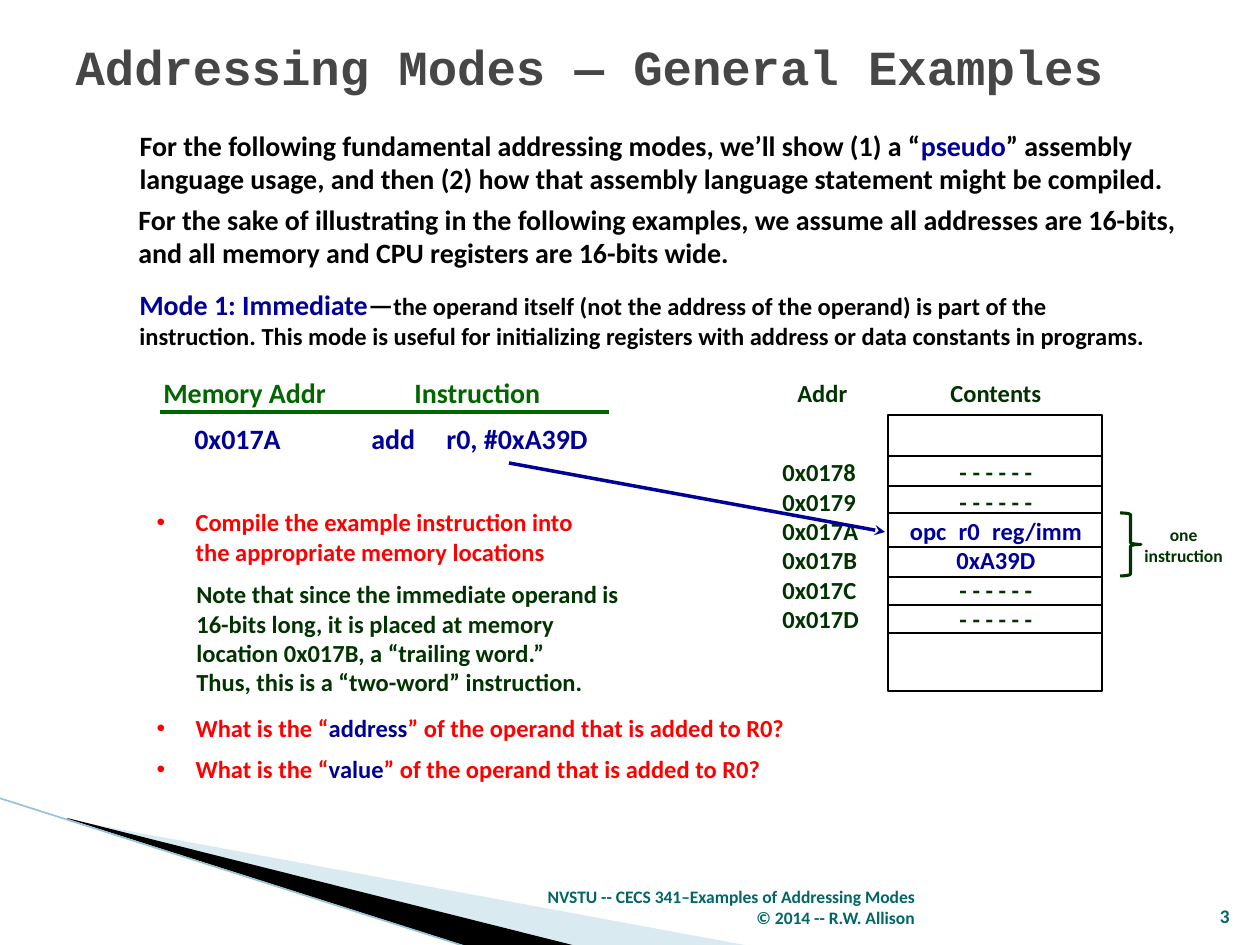
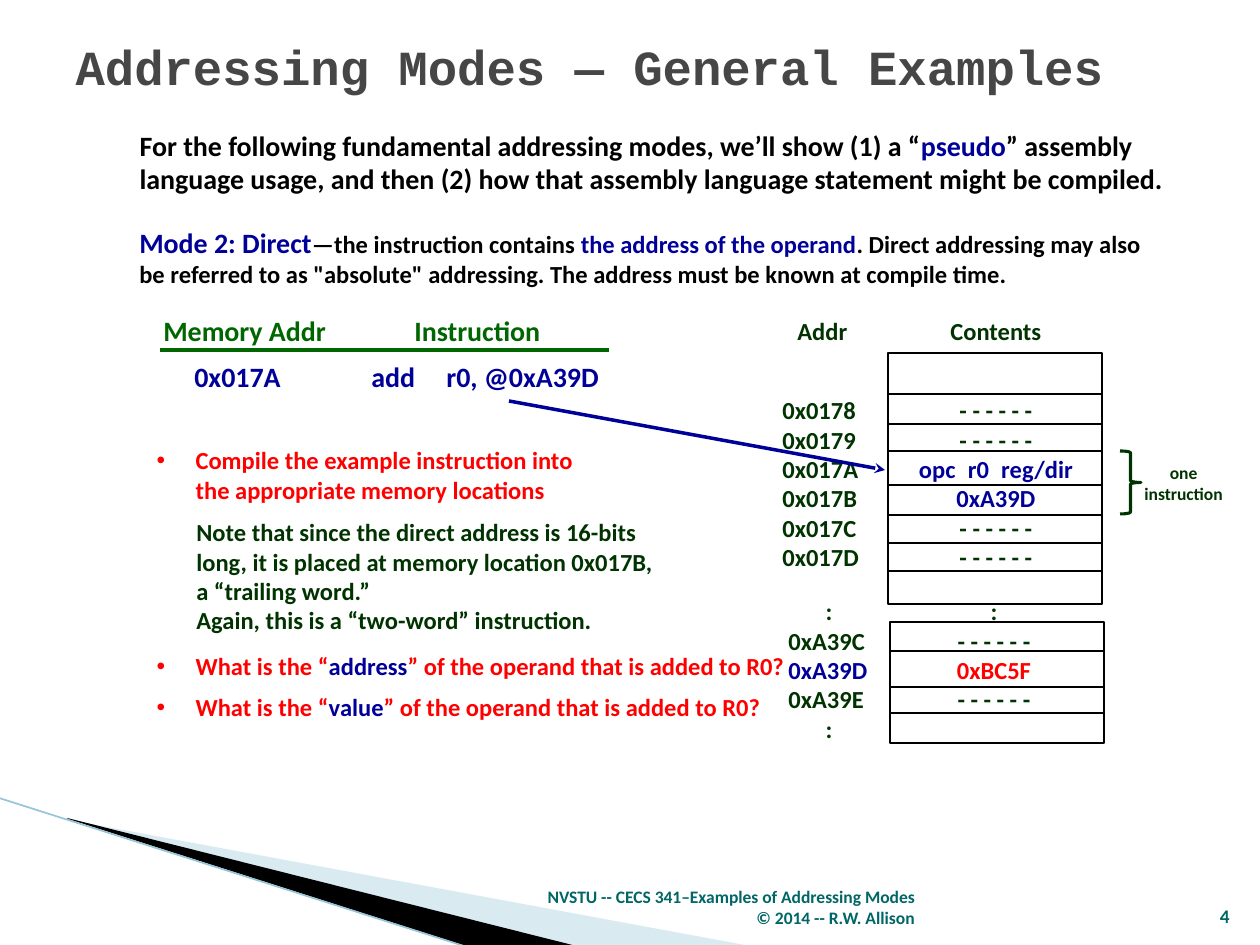
from lxml import etree
from pptx import Presentation
from pptx.dml.color import RGBColor
from pptx.enum.shapes import MSO_CONNECTOR as Link, MSO_SHAPE as Preset
from pptx.enum.text import MSO_ANCHOR as Anchor, MSO_AUTO_SIZE as Fit, PP_ALIGN as Align
from pptx.oxml.ns import qn
from pptx.util import Pt

PIXEL = 914400 / 126
BLACK = RGBColor(0x00, 0x00, 0x00)
NAVY = RGBColor(0x00, 0x00, 0x99)
GREEN = RGBColor(0x00, 0x66, 0x00)
FOREST = RGBColor(0x00, 0x33, 0x00)
RED = RGBColor(0xFF, 0x00, 0x00)
TEAL = RGBColor(0x00, 0x66, 0x66)
GRAY = RGBColor(0x46, 0x46, 0x46)
PALE = RGBColor(0xA0, 0xCB, 0xDC)
SKY = RGBColor(0x97, 0xC5, 0xD8)
DASHES = [("- - - - - -", FOREST)]
COLON = [(":", FOREST)]
EN_SPACE = "\u2002"


def px(length):
    return round(length * PIXEL)


def add_xml(parent, tag, **attributes):
    return etree.SubElement(parent, qn(tag), attributes)


class Lesson:
    """Holds the deck, its style and the current page."""

    def __init__(self):
        self.deck = Presentation()
        self.deck.slide_width, self.deck.slide_height = px(1260), px(945)
        self.layout = self.deck.slide_layouts.get_by_name("Comparison")
        self.page = None

    def start(self, title, number):
        first = self.page is None
        self.page = self.deck.slides.add_slide(self.layout)
        if first:
            self.backdrop()
        self.text((63, 24, 1155, 84), [[(title, GRAY)]], 28, slot=0,
                  font="Courier New", anchor=Anchor.MIDDLE)
        self.text((524, 883, 403, 51),
                  [[("NVSTU -- CECS 341–Examples of Addressing Modes", TEAL)],
                   [("© 2014 -- R.W. Allison", TEAL)]],
                  10, align=Align.RIGHT, anchor=Anchor.BOTTOM)
        self.text((1192, 883, 50, 51), [[(number, TEAL)]], 11,
                  align=Align.RIGHT, anchor=Anchor.BOTTOM)

    def backdrop(self):
        """Draws the corner wedges once and hands them to the layout."""
        wedges = [
            self.wedge([(69, 820), (750, 946), (575, 946), (69, 819)], PALE, 40),
            self.wedge([(67, 818), (576, 946), (469, 947), (68, 819)], BLACK),
            self.line((-1, 798), (467, 947), SKY, 0.95),
        ]
        for wedge in wedges:
            self.layout.shapes.element.append(wedge.element)

    def wedge(self, points, color, opacity=100):
        builder = self.page.shapes.build_freeform(*points[0], scale=PIXEL)
        builder.add_line_segments(points[1:], close=True)
        shape = builder.convert_to_shape()
        shape.shadow.inherit = False
        shape.fill.solid()
        shape.fill.fore_color.rgb = color
        shape.line.fill.background()
        if opacity < 100:
            tint = shape.element.spPr.find(qn("a:solidFill"))[0]
            add_xml(tint, "a:alpha", val=str(opacity * 1000))
        return shape

    def line(self, start, end, color, width, arrow=False):
        ends = [px(value) for value in (*start, *end)]
        link = self.page.shapes.add_connector(Link.STRAIGHT, *ends)
        link.line.color.rgb = color
        link.line.width = Pt(width)
        properties = link.element.spPr
        if arrow:
            add_xml(properties.find(qn("a:ln")), "a:tailEnd", type="stealth")
        add_xml(properties, "a:effectLst")
        return link

    def outline(self, preset, area, color, width):
        shape = self.page.shapes.add_shape(preset, *map(px, area))
        shape.shadow.inherit = False
        shape.fill.background()
        shape.line.color.rgb = color
        shape.line.width = Pt(width)

    def text(self, area, paras, size, slot=None, font="Calibri", align=Align.LEFT,
             anchor=Anchor.TOP, bullet=False):
        """Paragraphs are lists of (text, colour) or (text, colour, size)."""
        if slot is None:
            box = self.page.shapes.add_textbox(*map(px, area))
        else:
            box = self.page.placeholders[slot]
            box.left, box.top, box.width, box.height = map(px, area)
        frame = box.text_frame
        frame.word_wrap = True
        frame.auto_size = Fit.NONE
        frame.vertical_anchor = anchor
        for index, spans in enumerate(paras):
            para = frame.add_paragraph() if index else frame.paragraphs[0]
            # A lone colon stands for skipped rows and is always centred
            para.alignment = Align.CENTER if spans is COLON else align
            para.space_before = Pt(0)
            self.indent(para, bullet)
            for words, color, *own_size in spans:
                span = para.add_run()
                span.text = words
                span.font.name = font
                span.font.size = Pt(own_size[0] if own_size else size)
                span.font.bold = True
                span.font.color.rgb = color

    def indent(self, para, bullet):
        properties = para._p.get_or_add_pPr()
        hang = px(39) if bullet else 0
        properties.set("marL", str(hang))
        properties.set("indent", str(-hang))
        if bullet:
            add_xml(properties, "a:buFont", typeface="Arial")
            add_xml(properties, "a:buChar", char="•")
        else:
            add_xml(properties, "a:buNone")

    def columns(self, top, cells, color, size):
        """One line of text set in columns of (left, width, words)."""
        for left, width, words in cells:
            self.text((left, top, width, 47), [[(words, color)]], size)

    def memory(self, left, top, height, rows):
        """A memory block: its frame and the rules between its cells."""
        self.outline(Preset.RECTANGLE, (left, top, 214, height), BLACK, 1)
        for row in rows:
            self.line((left + 1, top + row), (left + 215, top + row), BLACK, 0.75)

    def intro(self):
        self.text((127, 122, 1072, 81), [[
            ("For the following fundamental addressing modes, we’ll show (1) a “", BLACK),
            ("pseudo", NAVY),
            ("” assembly language usage, and then (2) how that assembly language "
             "statement might be compiled.", BLACK)]], 16, slot=1)

    def example(self, top, mode, operand, opcode, note, note_width, block_height):
        """One addressing mode, with its definition starting at top."""
        self.text((127, top, 1033, 77), [mode], 14)

        # Assembly statement
        self.columns(top + 88, [(151, 200, "Memory Addr"), (402, 210, "Instruction")],
                     GREEN, 16)
        self.line((160, top + 131), (609, top + 131), GREEN, 2)
        self.columns(top + 134, [(182, 150, "0x017A"), (359, 75, "add"),
                                 (434, 200, f"r0, {operand}")], NAVY, 16)

        # Memory map
        self.columns(top + 91, [(785, 90, "Addr"), (938, 160, "Contents")], FOREST, 14)
        self.text((770, top + 170, 106, 190),
                  [[(f"0x017{digit}", FOREST)] for digit in "89ABCD"], 14)
        self.memory(888, top + 134, block_height, [41, 71, 98, 132, 162, 190, 218])
        self.text((890, top + 170, 212, 190),
                  [DASHES, DASHES, [(EN_SPACE.join(["opc", "r0", opcode]), NAVY)],
                   [("0xA39D", NAVY)], DASHES, DASHES], 14, align=Align.CENTER)
        self.line((509, top + 182), (885, top + 251), NAVY, 2, arrow=True)
        self.outline(Preset.RIGHT_BRACE, (1120, top + 232, 21, 63), FOREST, 1.75)
        self.text((1131, top + 237, 105, 55),
                  [[("one", FOREST)], [("instruction", FOREST)]],
                  10, align=Align.CENTER)

        # Explanation and questions
        self.text((144, top + 220, 455, 72),
                  [[("Compile the example instruction into the appropriate "
                     "memory locations", RED)]], 14, slot=2, bullet=True)
        self.text((184, top + 292, note_width, 131),
                  [[(words, FOREST)] for words in note], 14)
        for slot, subject, offset in ((3, "address", 426), (4, "value", 467)):
            self.text((144, top + offset, 696, 43),
                      [[("What is the “", RED), (subject, NAVY),
                        ("” of the operand that is added to R0?", RED)]],
                      14, slot=slot, bullet=True)


lesson = Lesson()
TITLE = "Addressing Modes — General Examples"

# Immediate mode
lesson.start(TITLE, "3")
lesson.intro()
lesson.text((126, 196, 1086, 81),
            [[("For the sake of illustrating in the following examples, we assume all "
               "addresses are 16-bits, and all memory and CPU registers are 16-bits "
               "wide.", BLACK)]], 16)
lesson.example(
    281,
    [("Mode 1: Immediate", NAVY, 16), ("—", BLACK, 16),
     ("the operand itself (not the address of the operand) is part of the "
      "instruction. This mode is useful for initializing registers with address "
      "or data constants in programs.", BLACK)],
    "#0xA39D", "reg/imm",
    ["Note that since the immediate operand is 16-bits long, it is placed at "
     "memory location 0x017B, a “trailing word.”",
     "Thus, this is a “two-word” instruction."], 455, 276)

# Direct mode
lesson.start(TITLE, "4")
lesson.intro()
lesson.example(
    219,
    [("Mode 2: Direct", NAVY, 16), ("—the instruction contains ", BLACK),
     ("the address of the operand", NAVY),
     (". Direct addressing may also be referred to as \"absolute\" addressing. "
      "The address must be known at compile time.", BLACK)],
    "@0xA39D", "reg/dir",
    ["Note that since the direct address is 16-bits long, it is placed at memory "
     "location 0x017B, a “trailing word.”",
     "Again, this is a “two-word” instruction."], 489, 251)

# Memory around the operand
lesson.memory(890, 622, 121, [29, 65, 91])
lesson.text((776, 590, 106, 161),
            [COLON, [("0xA39C", FOREST)], [("0xA39D", NAVY)],
             [("0xA39E", FOREST)], COLON], 14)
lesson.text((941, 590, 106, 131),
            [COLON, DASHES, [("0xBC5F", RED)], DASHES], 14, align=Align.CENTER)

lesson.deck.save("out.pptx")
